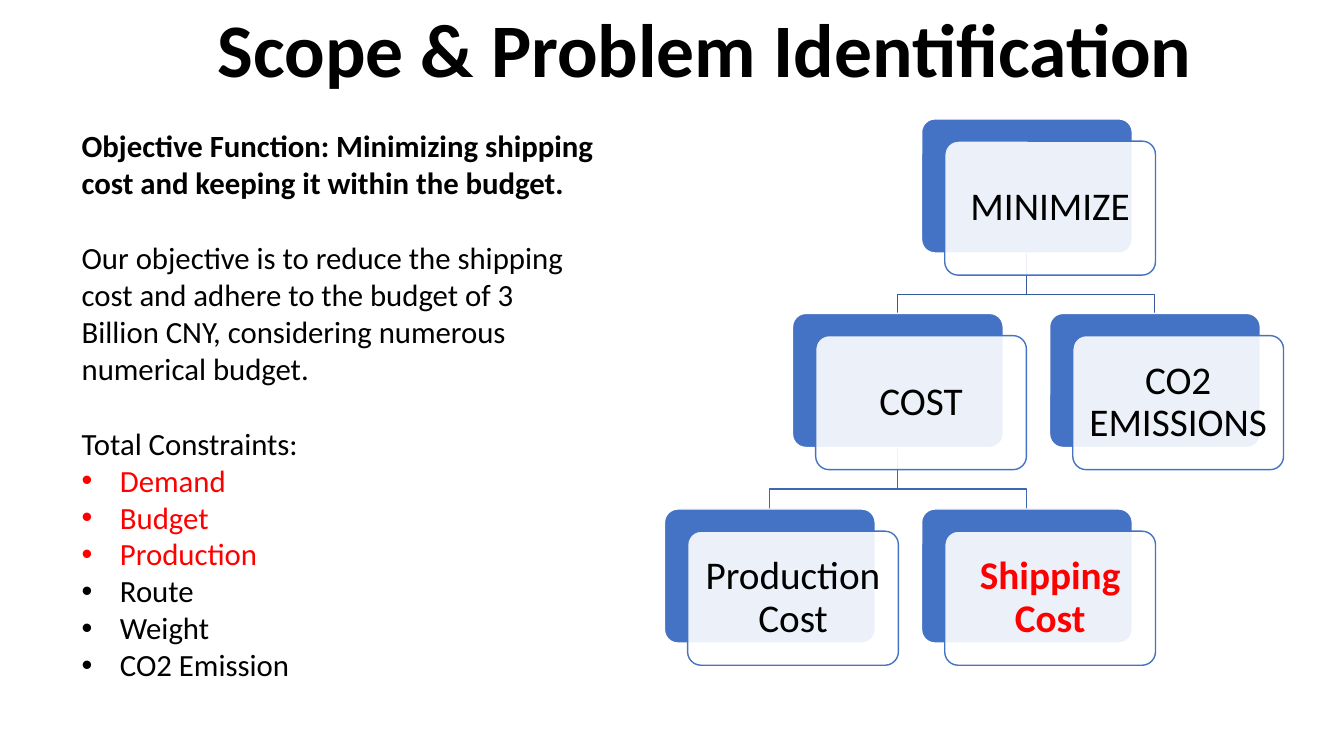
import pptx
import pptx.util
import pptx.dml.color
import pptx.enum.shapes
import pptx.enum.text
import pptx.oxml
import pptx.oxml.ns

PX = 9144  # EMU per px, 100 px to the inch
BLUE, WHITE, BLACK, RED = "4472C4", "FFFFFF", "000000", "FF0000"
ALIGN = pptx.enum.text.PP_ALIGN
ANCHOR = pptx.enum.text.MSO_ANCHOR


def rgb(color):
    return pptx.dml.color.RGBColor.from_string(color)


def write(p, text, size=22, color=BLACK, bold=False, align=ALIGN.LEFT, spacing=1.0, before=0, bullet=False):
    pPr = p._p.get_or_add_pPr()
    indent = 38 * PX if bullet else 0
    pPr.set("marL", str(indent))
    pPr.set("indent", str(-indent))
    p.alignment, p.line_spacing = align, spacing
    p.space_before = pptx.util.Pt(before)
    ns = pptx.oxml.ns.nsdecls("a")
    if bullet:
        pPr.append(pptx.oxml.parse_xml(f'<a:buFont {ns} typeface="Arial"/>'))
        pPr.append(pptx.oxml.parse_xml(f'<a:buChar {ns} char="•"/>'))
    else:
        pPr.append(pptx.oxml.parse_xml(f"<a:buNone {ns}/>"))
    r = p.add_run()
    r.text = text
    r.font.name, r.font.size, r.font.bold = "Calibri", pptx.util.Pt(size), bold
    r.font.color.rgb = rgb(color)


prs = pptx.Presentation()
prs.slide_width, prs.slide_height = 1333 * PX, 750 * PX
s = prs.slides.add_slide(prs.slide_layouts[1])

# Title and body placeholders
title, body = s.shapes.title, s.placeholders[1]
for sp, box, anchor in ((title, (124, 0, 1150, 98), ANCHOR.BOTTOM),
                        (body, (71, 121, 528, 565), ANCHOR.TOP)):
    sp.left, sp.top, sp.width, sp.height = (v * PX for v in box)
    tf = sp.text_frame
    tf.word_wrap, tf.vertical_anchor = True, anchor
    tf.auto_size = pptx.enum.text.MSO_AUTO_SIZE.NONE
write(title.text_frame.paragraphs[0], "Scope & Problem Identification",
      size=54, bold=True, align=ALIGN.CENTER, spacing=0.9)

# Objective and constraints
lines = [
    ("Objective Function: Minimizing shipping cost and keeping it within the budget.", dict(bold=True)),
    ("Our objective is to reduce the shipping cost and adhere to the budget of 3 Billion CNY, "
     "considering numerous numerical budget.", dict(before=27)),
    ("Total Constraints:", dict(before=27)),
]
lines += [(name, dict(bullet=True, color=RED)) for name in ("Demand", "Budget", "Production")]
lines += [(name, dict(bullet=True)) for name in ("Route", "Weight", "CO2 Emission")]
tf = body.text_frame
for i, (text, fmt) in enumerate(lines):
    p = tf.add_paragraph() if i else tf.paragraphs[0]
    write(p, text, **fmt)

# Tree: label -> (half column, row, parent)
CARD_W, CARD_H = 209, 133
tree = {
    "MINIMIZE": (2, 0, None),
    "COST": (1, 1, "MINIMIZE"),
    "Production Cost": (0, 2, "COST"),
    "Shipping Cost": (2, 2, "COST"),
    "CO2 EMISSIONS": (3, 1, "MINIMIZE"),
}
spots = {name: (659 + 255 * col // 2, 118 + 387 * row // 2)
         for name, (col, row, _) in tree.items()}

# Branches, behind the cards
for name, (_, row, parent) in tree.items():
    if parent:
        x0, y0 = spots[parent][0] + CARD_W // 2, spots[parent][1] + CARD_H
        x1, y1 = spots[name][0] + CARD_W // 2, spots[name][1]
        path = s.shapes.build_freeform(x0, y0, scale=PX)
        path.add_line_segments([(x0, y0 + 41), (x1, y0 + 41), (x1, y1)], close=False)
        sp = path.convert_to_shape()
        sp.shadow.inherit = False
        sp.fill.background()
        sp.line.color.rgb = rgb("365B9D" if row == 1 else "3E67B2")
        sp.line.width = pptx.util.Pt(1)

# Cards: a solid back and an offset, nearly opaque front with the label
for name, (x, y) in spots.items():
    for dx, dy, fill, line in ((0, 0, BLUE, WHITE), (23, 22, WHITE, BLUE)):
        sp = s.shapes.add_shape(pptx.enum.shapes.MSO_SHAPE.ROUNDED_RECTANGLE,
                                (x + dx) * PX, (y + dy) * PX, CARD_W * PX, CARD_H * PX)
        sp.adjustments[0] = 0.1
        sp.shadow.inherit = False
        sp.fill.solid()
        sp.fill.fore_color.rgb = rgb(fill)
        sp.line.color.rgb = rgb(line)
        sp.line.width = pptx.util.Pt(1)
    color = sp.fill._xPr.find(".//" + pptx.oxml.ns.qn("a:srgbClr"))
    color.append(pptx.oxml.parse_xml(f'<a:alpha {pptx.oxml.ns.nsdecls("a")} val="90000"/>'))
    tf = sp.text_frame
    tf.word_wrap, tf.vertical_anchor = True, ANCHOR.MIDDLE
    tf.margin_left = tf.margin_right = tf.margin_top = tf.margin_bottom = 12 * PX
    chosen = name == "Shipping Cost"
    write(tf.paragraphs[0], name, size=28, color=RED if chosen else BLACK,
          bold=chosen, align=ALIGN.CENTER, spacing=0.9)

prs.save("out.pptx")
